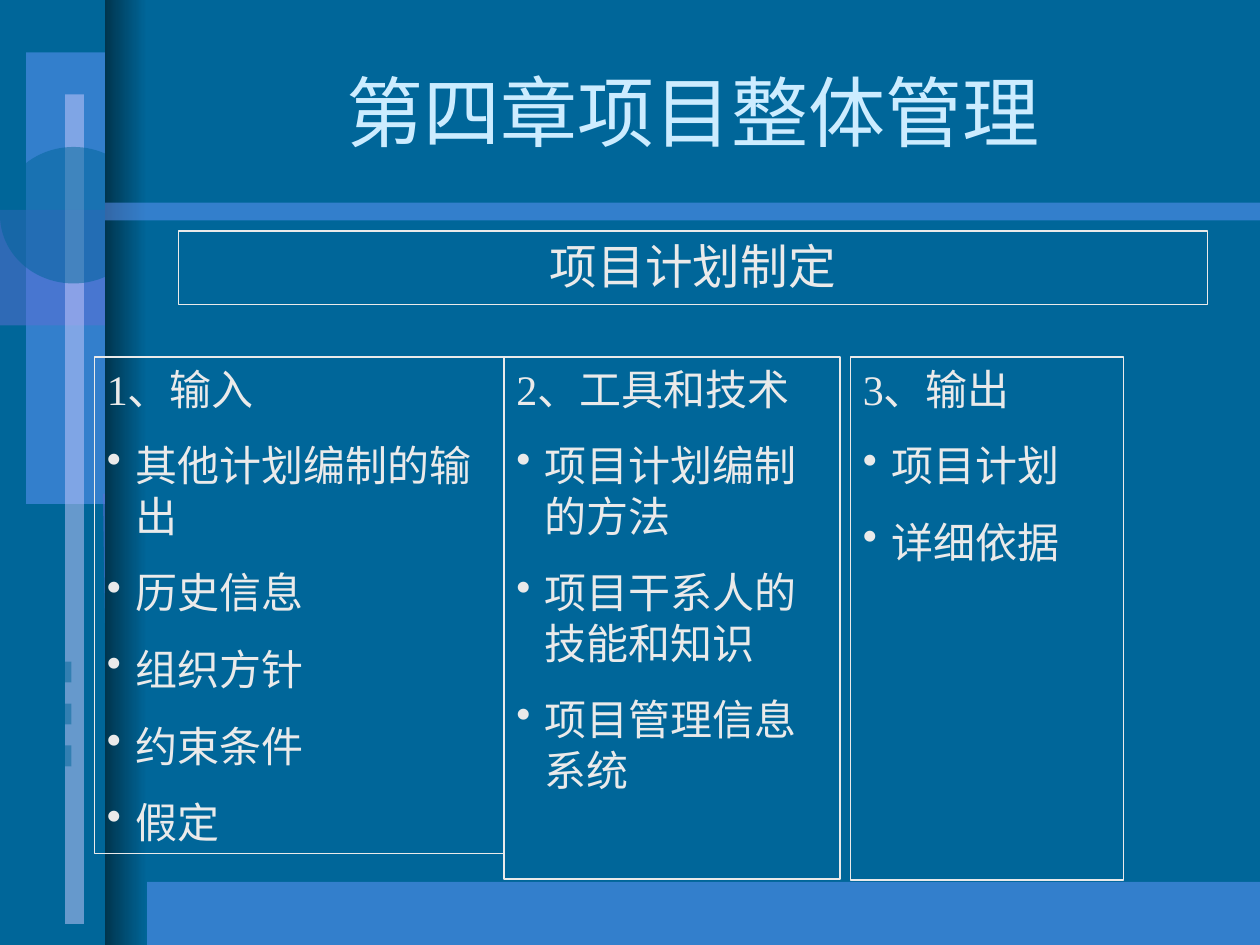
from typing import NamedTuple

from pptx import Presentation
from pptx.dml.color import RGBColor
from pptx.enum.shapes import MSO_SHAPE as SHAPE
from pptx.enum.text import MSO_ANCHOR as ANCHOR, MSO_AUTO_SIZE as AUTO, PP_ALIGN as ALIGN
from pptx.oxml.ns import qn
from pptx.util import Pt

PX = 7620  # EMU per px, 120 px to the inch
WIDTH, HEIGHT = 1200, 900
COLORS = {
    "background": "006699",
    "band": "6699FF",
    "violet": "5E6FD4",
    "lilac": "CCCCFF",
    "shade": "00354E",
    "title": "CCECFF",
    "text": "EAEAEA",
}


class Box(NamedTuple):
    x: int
    y: int
    w: int
    h: int

    def emu(self) -> tuple[int, ...]:
        return tuple(v * PX for v in self)


class Decor(NamedTuple):
    box: Box
    color: str
    shape: int = SHAPE.RECTANGLE


class Column(NamedTuple):
    box: Box
    heading: str
    items: list[str]


BOTTOM_BAND = Decor(Box(100, 840, 1100, 60), "band")
TITLE_RULE = Decor(Box(100, 193, 1100, 17), "band")
SIDE_BLOCKS = [
    Decor(Box(25, 50, 75, 430), "band"),
    Decor(Box(0, 200, 100, 110), "violet"),
    Decor(Box(62, 90, 18, 790), "lilac"),
    *[Decor(Box(0, y, 68, 20), "background") for y in range(630, 711, 40)],
]
CIRCLE = Decor(Box(0, 140, 140, 130), "background", SHAPE.OVAL)
SHADE = Box(100, 0, 40, 900)
CRESCENT = [(98, 470), (110, 472), (119, 490), (124, 518), (128, 555), (128, 600),
            (125, 643), (120, 680), (112, 703), (103, 709), (100, 592)]

COLUMNS = [
    Column(Box(90, 340, 390, 473), "1、输入",
           ["其他计划编制的输出", "历史信息", "组织方针", "约束条件", "假定"]),
    Column(Box(480, 340, 320, 497), "2、工具和技术",
           ["项目计划编制的方法", "项目干系人的技能和知识", "项目管理信息系统"]),
    Column(Box(810, 340, 260, 498), "3、输出", ["项目计划", "详细依据"]),
]


def rgb(name: str) -> RGBColor:
    return RGBColor.from_string(COLORS[name])


def fill_half_clear(sp, color: str) -> None:
    sp.shadow.inherit = False
    sp.line.fill.background()
    sp.fill.solid()
    sp.fill.fore_color.rgb = rgb(color)
    srgb = sp._element.spPr.find(qn("a:solidFill"))[0]
    srgb.append(srgb.makeelement(qn("a:alpha"), {"val": "50000"}))


def draw_decor(shapes, decor: Decor) -> None:
    sp = shapes.add_shape(decor.shape, *decor.box.emu())
    fill_half_clear(sp, decor.color)


def draw_crescent(shapes) -> None:
    builder = shapes.build_freeform(*CRESCENT[0], scale=PX)
    builder.add_line_segments(CRESCENT[1:], close=True)
    fill_half_clear(builder.convert_to_shape(), "violet")


def draw_shade(shapes) -> None:
    sp = shapes.add_shape(SHAPE.RECTANGLE, *SHADE.emu())
    sp.shadow.inherit = False
    sp.line.fill.background()
    sp.fill.gradient()
    sp.fill.gradient_angle = 0
    for stop, color in zip(sp.fill.gradient_stops, ("shade", "background")):
        stop.color.rgb = rgb(color)


def format_runs(p, size: float, font: str, color: str) -> None:
    for r in p.runs:
        r.font.size = Pt(size)
        r.font.name = font
        r.font.color.rgb = rgb(color)


def set_bullet(p, char: str = "", indent: int = 0) -> None:
    """Give the paragraph a hanging bullet, or none when char is empty."""
    pPr = p._p.get_or_add_pPr()
    pPr.set("marL", str(indent * PX))
    pPr.set("indent", str(-indent * PX))
    if char:
        pPr.append(pPr.makeelement(qn("a:buChar"), {"char": char}))
    else:
        pPr.append(pPr.makeelement(qn("a:buNone"), {}))


def outline(sp, width: float) -> None:
    sp.line.color.rgb = rgb("text")
    sp.line.width = Pt(width)


def fill_placeholder(sp, box: Box, text: str, size: float, font: str,
                     color: str, anchor: ANCHOR) -> None:
    sp.left, sp.top, sp.width, sp.height = box.emu()
    tf = sp.text_frame
    tf.text = text
    tf.auto_size = AUTO.NONE
    tf.vertical_anchor = anchor
    p = tf.paragraphs[0]
    p.alignment = ALIGN.CENTER
    p.space_before = Pt(0)
    set_bullet(p)
    format_runs(p, size, font, color)


def draw_column(shapes, column: Column) -> None:
    sp = shapes.add_textbox(*column.box.emu())
    outline(sp, 1)
    tf = sp.text_frame
    tf.word_wrap = True
    tf.auto_size = AUTO.NONE
    tf.text = column.heading
    for item in column.items:
        p = tf.add_paragraph()
        p.text = item
        p.space_before = Pt(15)
        set_bullet(p, "•", 27)
    for p in tf.paragraphs:
        format_runs(p, 24, "Times New Roman", "text")


def main() -> None:
    prs = Presentation()
    prs.slide_width, prs.slide_height = WIDTH * PX, HEIGHT * PX
    slide = prs.slides.add_slide(prs.slide_layouts[1])
    slide.background.fill.solid()
    slide.background.fill.fore_color.rgb = rgb("background")
    shapes = slide.shapes
    title, body = slide.placeholders

    for decor in (BOTTOM_BAND, *SIDE_BLOCKS):
        draw_decor(shapes, decor)
    draw_crescent(shapes)
    draw_decor(shapes, CIRCLE)
    draw_shade(shapes)
    draw_decor(shapes, TITLE_RULE)

    fill_placeholder(title, Box(150, 30, 1020, 150), "第四章项目整体管理",
                     44, "Montserrat", "title", ANCHOR.MIDDLE)
    fill_placeholder(body, Box(170, 220, 980, 70), "项目计划制定",
                     27.2, "Arial", "text", ANCHOR.TOP)
    outline(body, 0.75)
    for column in COLUMNS:
        draw_column(shapes, column)
    prs.save("out.pptx")


if __name__ == "__main__":
    main()
